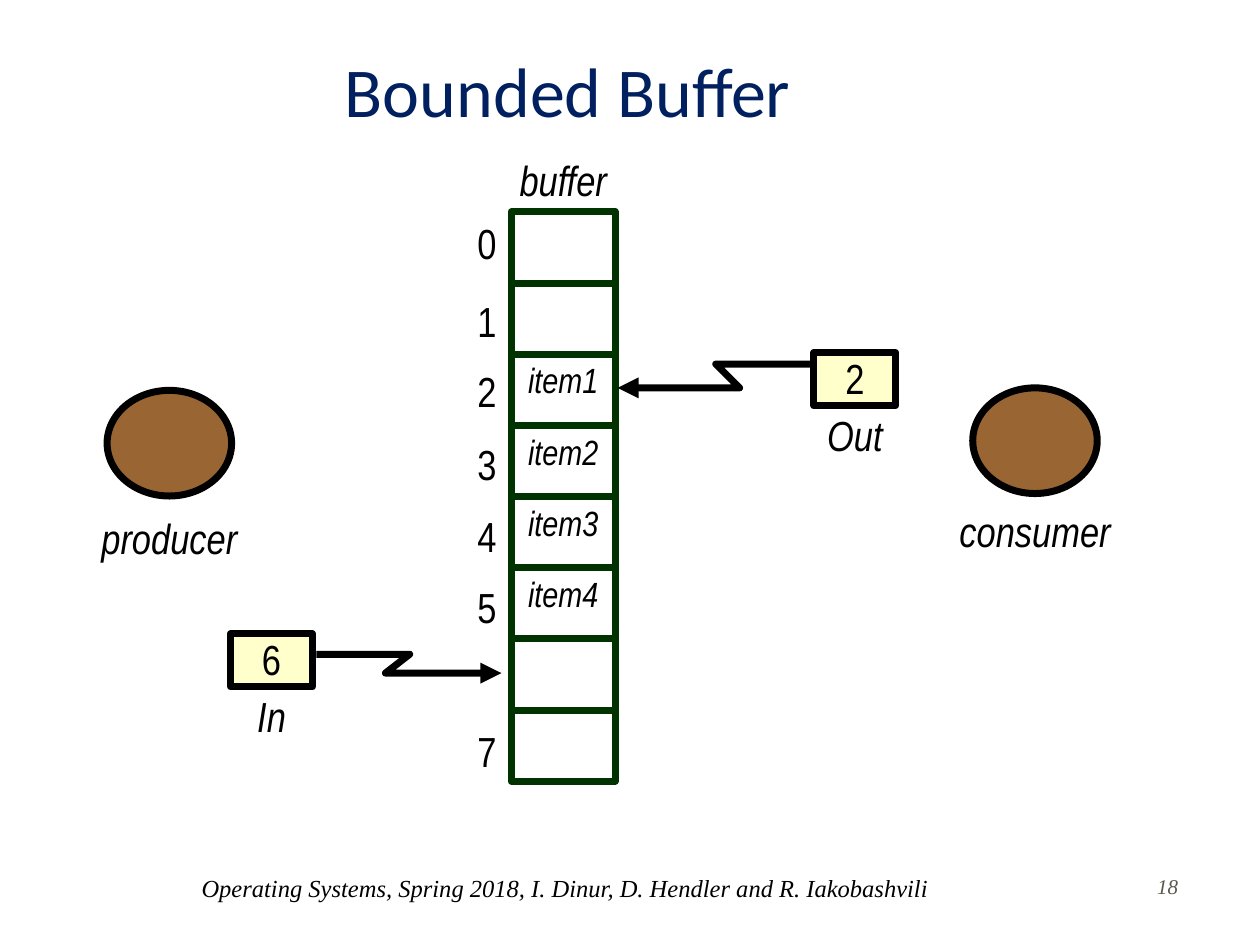
import pptx
import pptx.dml.color
import pptx.enum.shapes
import pptx.enum.text
import pptx.oxml.ns
import pptx.util
from lxml import etree

Cm = pptx.util.Cm
Pt = pptx.util.Pt
Shape = pptx.enum.shapes.MSO_SHAPE
Align = pptx.enum.text.PP_ALIGN
qn = pptx.oxml.ns.qn

LABEL = {"name": "Arial Narrow", "size": Pt(24), "italic": True}
DIGIT = {**LABEL, "italic": False}
ITEM = {**LABEL, "size": Pt(20)}
TITLE = {"name": "Calibri", "size": Pt(40)}
FOOT = {"name": "Times New Roman", "size": Pt(14), "italic": True}
PAGE = {**FOOT, "size": Pt(12)}
BLACK, GREEN = "000000", "003300"
ROW = 1.27  # height of a one-line label


def color(hex):
    return pptx.dml.color.RGBColor.from_string(hex)


def write(shape, text, style, ink=BLACK, align=Align.CENTER, wrap=True):
    frame = shape.text_frame
    look = {"word_wrap": wrap, "vertical_anchor": pptx.enum.text.MSO_ANCHOR.TOP,
            "auto_size": pptx.enum.text.MSO_AUTO_SIZE.NONE}
    for key, val in look.items():
        setattr(frame, key, val)
    frame.text = text
    para = frame.paragraphs[0]
    para.alignment = align
    para.space_before = Pt(0)
    for key, val in style.items():
        setattr(para.font, key, val)
    para.font.color.rgb = color(ink)


def label(slide, x, y, w, h, text, style, **opts):
    box = slide.shapes.add_textbox(Cm(x), Cm(y), Cm(w), Cm(h))
    write(box, text, style, **opts)


def stroke(shape, ink):
    shape.line.color.rgb = color(ink)
    shape.line.width = Pt(4)


def block(slide, kind, x, y, w, h, fill, ink=BLACK):
    shape = slide.shapes.add_shape(kind, Cm(x), Cm(y), Cm(w), Cm(h))
    shape.shadow.inherit = False
    shape.fill.solid()
    shape.fill.fore_color.rgb = color(fill)
    stroke(shape, ink)


def arrow(slide, x, y, points):
    spots = [(Cm(x + dx), Cm(y + dy)) for dx, dy in points]
    build = slide.shapes.build_freeform(*spots[0])
    build.add_line_segments(spots[1:], close=False)
    shape = build.convert_to_shape()
    shape.shadow.inherit = False
    shape.fill.background()
    stroke(shape, BLACK)
    line = shape.line._get_or_add_ln()
    etree.SubElement(line, qn("a:round"))
    etree.SubElement(line, qn("a:tailEnd"), type="triangle")


def head(slide, x, y, w, h, text):
    title = slide.shapes.title
    spot = {"left": x, "top": y, "width": w, "height": h}
    for key, val in spot.items():
        setattr(title, key, Cm(val))
    write(title, text, TITLE, ink="002060")


def buffer(slide, x, y, w, h, items, marks):
    step = h / 8
    label(slide, x - 0.1, y - ROW, w + 0.2, ROW, "buffer", LABEL, wrap=False)
    block(slide, Shape.RECTANGLE, x, y, w, h, "FFFFFF", GREEN)
    # Cell borders
    for i in range(1, 8):
        top = Cm(y + i * step)
        line = slide.shapes.add_connector(
            pptx.enum.shapes.MSO_CONNECTOR.STRAIGHT, Cm(x), top, Cm(x + w), top)
        stroke(line, GREEN)
        etree.SubElement(line._element.spPr, qn("a:effectLst"))
    # Cell contents
    for i, text in items.items():
        label(slide, x + 0.08, y + i * step - 0.03, w - 0.16, 1.09, text, ITEM,
              wrap=False)
    # Cell numbers
    for i, drop in marks.items():
        label(slide, x - 0.94, y + drop, 0.89, ROW, str(i), DIGIT, wrap=False)


def pointer(slide, x, y, w, h, name, cell, points):
    arrow(slide, x, y, points)
    block(slide, Shape.RECTANGLE, x, y, w, h, "FFFFCC")
    label(slide, x, y - 0.13, w, ROW, cell, DIGIT, wrap=False)
    label(slide, x, y + 1.02, w, ROW, name, LABEL, wrap=False)


def actor(slide, x, y, w, h, name, wide, drop):
    block(slide, Shape.OVAL, x, y, w, h, "996633")
    label(slide, x + (w - wide) / 2, y + drop, wide, ROW, name, LABEL, wrap=False)


def footer(slide, x, y, w, h):
    label(slide, x, y, 17.81, h, "Operating Systems, Spring 2018, "
          "I. Dinur, D. Hendler and R. Iakobashvili", FOOT)
    label(slide, x + w - 1.7, y, 1.7, h, "18", PAGE, ink="5E574E",
          align=Align.RIGHT)


def main():
    deck = pptx.Presentation()
    deck.slide_width, deck.slide_height = Cm(25.4), Cm(19.05)
    slide = deck.slides.add_slide(deck.slide_layouts[5])

    head(slide, 4.7, 0.84, 13.49, 1.96, "Bounded Buffer")
    buffer(slide, 10.31, 4.27, 2.09, 11.48,
           {i + 1: f"item{i}" for i in range(1, 5)},
           {0: 0, 1: 1.57, 2: 2.97, 3: 4.45, 4: 5.89, 5: 7.32, 7: 10.24})
    pointer(slide, 16.41, 7.11, 1.65, 1.07, "Out", "2",
            [(0, 0.23), (-1.98, 0.23), (-1.5, 0.71), (-3.96, 0.71)])
    pointer(slide, 4.65, 12.78, 1.65, 1.07, "In", "6",
            [(1.73, 0.41), (3.61, 0.41), (3.12, 0.79), (5.46, 0.79)])
    actor(slide, 2.16, 7.87, 2.51, 2.13, "producer", 3.25, 2.34)
    actor(slide, 19.61, 7.82, 2.51, 2.13, "consumer", 3.56, 2.24)
    footer(slide, 2.49, 17.48, 21.51, 1.07)

    deck.save("out.pptx")


if __name__ == "__main__":
    main()
